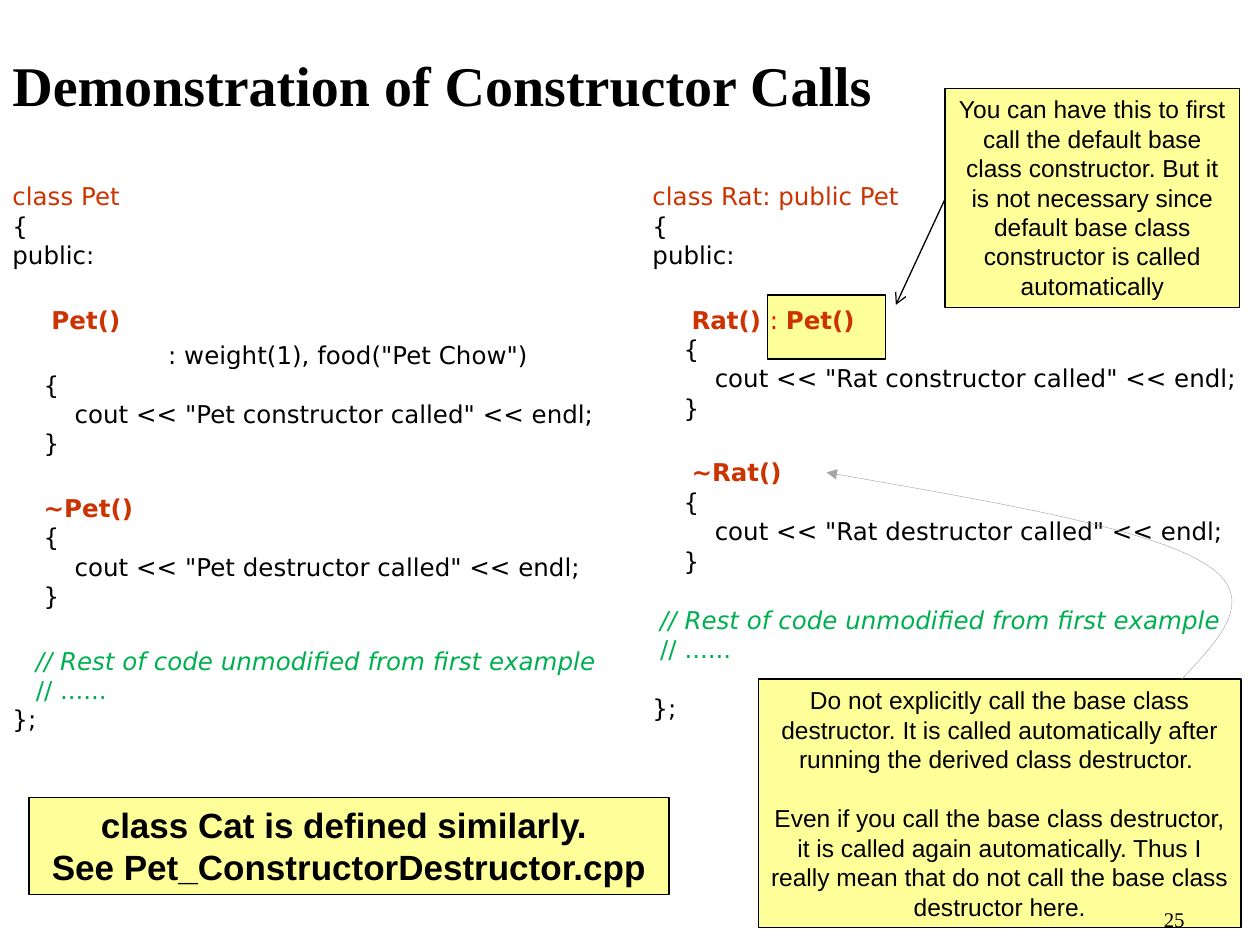
from typing import NamedTuple

import lxml.etree
import pptx
import pptx.dml.color
import pptx.enum.shapes
import pptx.enum.text
import pptx.oxml.ns
import pptx.util

Inches, Pt = pptx.util.Inches, pptx.util.Pt
Align = pptx.enum.text.PP_ALIGN
Anchor = pptx.enum.text.MSO_ANCHOR
qn = pptx.oxml.ns.qn

BLACK, RUST, RED, GREEN = "000000", "CC3300", "FF0000", "00B050"
GREY, CREAM = "A6A6A6", "FFFF99"
CODE, SANS, SERIF = "DejaVu Sans", "Arial", "Times New Roman"
STEP, SKIP, GAP = 3.5, 17, 20  # space before: next part, blank line, both


class Run(NamedTuple):
    text: str
    color: str = BLACK
    bold: bool = False
    ital: bool = False


class Para(NamedTuple):
    lines: list[list[Run]]
    before: float = 0


class Box(NamedTuple):
    left: float
    top: float
    width: float
    height: float


class Note(NamedTuple):
    box: Box
    paras: list[Para]
    size: float = 14


def rgb(color: str) -> pptx.dml.color.RGBColor:
    return pptx.dml.color.RGBColor.from_string(color)


def spot(sides: tuple[float, ...]) -> list[pptx.util.Length]:
    return [Inches(side) for side in sides]


def write(frame, paras: list[Para], font: str, size: float,
          align=Align.LEFT, anchor=Anchor.TOP) -> None:
    frame.word_wrap = True
    frame.vertical_anchor = anchor
    for i, para in enumerate(paras):
        p = frame.add_paragraph() if i else frame.paragraphs[0]
        p.alignment = align
        p.space_before = Pt(para.before)
        for j, line in enumerate(para.lines):
            if j:
                p.add_line_break()
            for part in line:
                run = p.add_run()
                run.text = part.text
                run.font.name, run.font.size = font, Pt(size)
                run.font.bold, run.font.italic = part.bold, part.ital
                run.font.color.rgb = rgb(part.color)
        p.font.size = Pt(size)


def label(slide, box: Box, paras: list[Para], font: str, size: float, **style) -> None:
    write(slide.shapes.add_textbox(*spot(box)).text_frame, paras, font, size, **style)


def panel(slide, box: Box):
    """Draw a cream box with a thin black edge."""
    kind = pptx.enum.shapes.MSO_SHAPE.RECTANGLE
    shape = slide.shapes.add_shape(kind, *spot(box))
    shape.shadow.inherit = False
    shape.fill.solid()
    shape.fill.fore_color.rgb = rgb(CREAM)
    shape.line.color.rgb = rgb(BLACK)
    shape.line.width = Pt(0.75)
    return shape


def stroke(shape, color: str, width: float, head: str) -> None:
    """Set the line and its end arrow, with no shadow."""
    shape.line.color.rgb = rgb(color)
    shape.line.width = Pt(width)
    props = shape.line._get_or_add_ln()
    lxml.etree.SubElement(props, qn("a:tailEnd"), type=head)
    if props.getparent().find(qn("a:effectLst")) is None:
        lxml.etree.SubElement(props.getparent(), qn("a:effectLst"))


def bezier(a, b, c, d, steps: int = 24) -> list[tuple[float, ...]]:
    """Give the points of a cubic curve after its start."""
    spans = [i / steps for i in range(1, steps + 1)]
    return [tuple((1 - t) ** 3 * w + 3 * (1 - t) ** 2 * t * x
                  + 3 * (1 - t) * t * t * y + t ** 3 * z
                  for w, x, y, z in zip(a, b, c, d)) for t in spans]


def curve(slide) -> None:
    start, mid, end = (9.38, 5.39), (9.54, 4.46), (6.56, 3.75)
    points = (bezier(start, (9.69, 5.06), (10.01, 4.73), mid)
              + bezier(mid, (9.07, 4.18), (7.81, 3.97), end))
    pen = slide.shapes.build_freeform(*spot(start))
    pen.add_line_segments([spot(point) for point in points], close=False)
    shape = pen.convert_to_shape()
    shape.fill.background()
    shape.shadow.inherit = False
    stroke(shape, GREY, 0.25, "triangle")


def opening(name: str) -> Para:
    return Para([[Run(name, RUST)], [Run("{")], [Run("public:")]])


def body(word: str) -> list[list[Run]]:
    """Give the braces and the output line of a member."""
    return [[Run("    {")],
            [Run(f'        cout << "{word} called" << endl;')],
            [Run("    }")]]


def rest(pad: str) -> list[list[Run]]:
    text = "// Rest of code unmodified from first example"
    return [[Run(pad + text, GREEN, ital=True)], [Run(pad + "// ......", GREEN)]]


def plain(text: str, before: float = 0, bold: bool = False) -> Para:
    return Para([[Run(text, bold=bold)]], before)


PET = [
    opening("class Pet"),
    Para([[Run("     "), Run("Pet()", RUST, True)]], GAP),
    Para([[Run('                    : weight(1), food("Pet Chow")')],
          *body("Pet constructor")], STEP),
    Para([[Run("    "), Run("~Pet()", RUST, True)], *body("Pet destructor")], GAP),
    Para([*rest("   "), [Run("};")]], GAP),
]
RAT = [
    opening("class Rat: public Pet"),
    Para([[Run("     "), Run("Rat() ", RUST, True), Run(": ", RED),
           Run("Pet()", RUST, True)], *body("Rat constructor")], GAP),
    Para([[Run("     "), Run("~Rat()", RUST, True)], *body("Rat destructor")], GAP),
    Para(rest(" "), SKIP),
    plain("};", SKIP),
]
CAT = Note(Box(0.23, 6.33, 5.08, 0.77), [
    plain("class Cat is defined similarly. ", bold=True),
    plain("See Pet_ConstructorDestructor.cpp", bold=True)], 20)
BASE = Note(Box(7.5, 0.7, 2.34, 1.74), [
    plain("You can have this to first call the default base class constructor. "
          "But it is not necessary since default base class constructor is "
          "called automatically")])
WARN = Note(Box(6.02, 5.39, 3.83, 1.97), [
    plain("Do not explicitly call the base class destructor. It is called "
          "automatically after running the derived class destructor. "),
    plain("Even if you call the base class destructor, it is called again "
          "automatically. Thus I really mean that do not call the base class "
          "destructor here.", SKIP)])


def main() -> None:
    deck = pptx.Presentation()
    deck.slide_width, deck.slide_height = Inches(10), Inches(7.5)
    slide = deck.slides.add_slide(deck.slide_layouts[6])

    panel(slide, Box(6.09, 2.34, 0.94, 0.51))
    label(slide, Box(0, 0.25, 10, 0.83),
          [plain("Demonstration of Constructor Calls", bold=True)],
          SERIF, 32, anchor=Anchor.MIDDLE)
    for left, code in ((0, PET), (5.08, RAT)):
        label(slide, Box(left, 1.39, 4.92, 5.91), code, CODE, 14)
    for note in (CAT, BASE, WARN):
        write(panel(slide, note.box).text_frame, note.paras, SANS, note.size,
              align=Align.CENTER)

    arrow = slide.shapes.add_connector(
        pptx.enum.shapes.MSO_CONNECTOR.STRAIGHT,
        *spot((7.5, 1.58, 7.11, 2.42)))
    stroke(arrow, BLACK, 0.75, "arrow")
    curve(slide)
    label(slide, Box(7.42, 7.15, 2.08, 0.31), [plain("25")], SERIF, 11.9,
          align=Align.RIGHT)
    deck.save("out.pptx")


if __name__ == "__main__":
    main()
